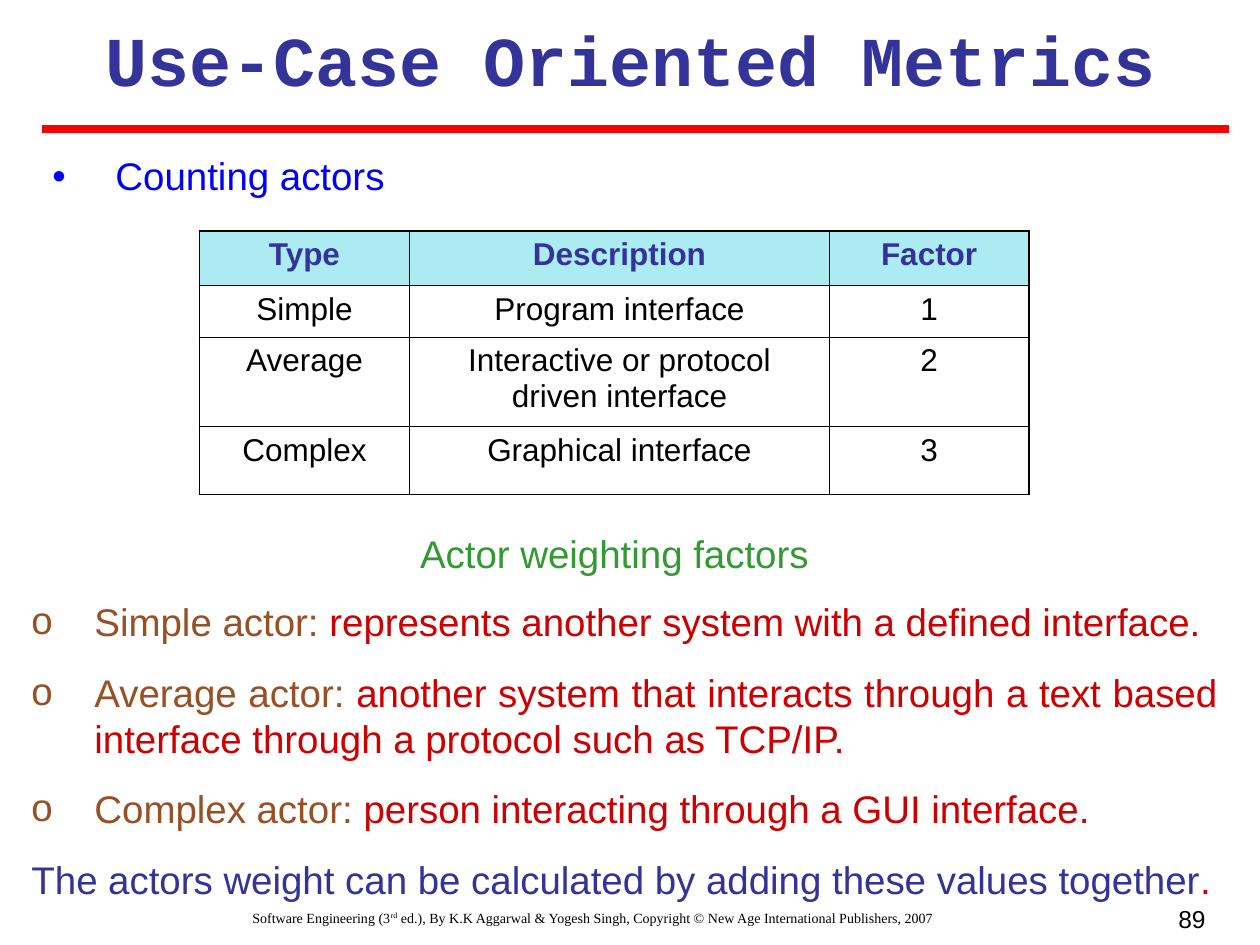
from dataclasses import dataclass

from lxml.etree import SubElement
from pptx import Presentation
from pptx.dml.color import RGBColor
from pptx.enum.shapes import MSO_CONNECTOR
from pptx.enum.text import PP_ALIGN as Align
from pptx.oxml.ns import qn
from pptx.util import Pt

EMU_PER_PX = 7620


@dataclass(frozen=True)
class Theme:
    """Colours, fonts and type sizes of the slide."""
    navy: str = "333399"
    blue: str = "0000FF"
    red: str = "FF0000"
    crimson: str = "CC0000"
    brown: str = "965126"
    green: str = "339933"
    aqua: str = "ACEBF2"
    black: str = "000000"
    sans: str = "Arial"
    mono: str = "Courier New"
    serif: str = "Times New Roman"
    title: int = 40
    body: int = 22
    cell: int = 18
    page: int = 14
    credit: int = 8
    outer_border: float = 1.08
    inner_border: float = 0.45


THEME = Theme()
ACTOR_TABLE = [
    ("Type", "Description", "Factor"),
    ("Simple", "Program interface", "1"),
    ("Average", "Interactive or protocol driven interface", "2"),
    ("Complex", "Graphical interface", "3"),
]
COLUMN_WIDTHS = (200, 400, 190)
ROW_HEIGHTS = (52, 49, 85, 65)
ACTORS = [
    ("Simple actor:", " represents another system with a defined interface."),
    ("Average actor:", " another system that interacts through a text based "
                       "interface through a protocol such as TCP/IP."),
    ("Complex actor:", " person interacting through a GUI interface."),
]
CONCLUSION = "The actors weight can be calculated by adding these values together"
CREDIT = ("Software Engineering (3", "rd",
          " ed.), By K.K Aggarwal & Yogesh Singh, Copyright © New Age International Publishers, 2007")


def px(length):
    """Turn whole px into EMU."""
    return length * EMU_PER_PX


def add_frame(slide, box, insets=(0, 0, 0, 0)):
    """Add a wrapping text box and return its text frame."""
    frame = slide.shapes.add_textbox(*map(px, box)).text_frame
    frame.word_wrap = True
    frame.margin_left, frame.margin_top, frame.margin_right, frame.margin_bottom = map(px, insets)
    return frame


def set_font(font, color, size=None, name=None, bold=None):
    """Set the given properties on a font."""
    font.color.rgb = RGBColor.from_string(color)
    if size:
        font.size = Pt(size)
    if name:
        font.name = name
    if bold is not None:
        font.bold = bold


def set_bullet(paragraph, mark, color):
    """Give a paragraph a coloured bullet with a hanging indent."""
    props = paragraph._p.get_or_add_pPr()
    props.set("marL", str(px(60)))
    props.set("indent", str(px(-60)))
    SubElement(SubElement(props, qn("a:buClr")), qn("a:srgbClr"), val=color)
    SubElement(props, qn("a:buFont"), typeface=THEME.sans)
    SubElement(props, qn("a:buChar"), char=mark)


def add_title(slide, box):
    """Place the slide title."""
    title = add_frame(slide, box, (12, 6, 12, 6)).paragraphs[0]
    title.text = "Use-Case Oriented Metrics"
    title.alignment = Align.CENTER
    set_font(title.font, THEME.navy, THEME.title, THEME.mono, True)


def add_rule(slide, left, top, width):
    """Draw the red rule below the title."""
    rule = slide.shapes.add_connector(
        MSO_CONNECTOR.STRAIGHT, px(left), px(top), px(left + width), px(top))
    rule.line.color.rgb = RGBColor.from_string(THEME.red)
    rule.line.width = Pt(4.5)
    SubElement(rule._element.spPr, qn("a:effectLst"))


def add_topic(slide, box):
    """Place the bulleted topic."""
    topic = add_frame(slide, box).paragraphs[0]
    topic.text = "Counting actors"
    topic.alignment = Align.JUSTIFY
    topic.line_spacing = 0.9
    set_bullet(topic, "•", THEME.blue)
    set_font(topic.font, THEME.blue, THEME.body, THEME.sans)


def set_borders(cell, outer_sides):
    """Draw cell borders, heavier on the sides at the table's edge."""
    props = cell._tc.get_or_add_tcPr()
    for position, (side, is_outer) in enumerate(outer_sides.items()):
        weight = THEME.outer_border if is_outer else THEME.inner_border
        border = props.makeelement(qn(f"a:{side}"), {"w": str(int(Pt(weight)))})
        SubElement(SubElement(border, qn("a:solidFill")), qn("a:srgbClr"), val=THEME.black)
        props.insert(position, border)


def add_actor_table(slide, left, top):
    """Place the table of actor types and factors."""
    last_row, last_column = len(ROW_HEIGHTS) - 1, len(COLUMN_WIDTHS) - 1
    table = slide.shapes.add_table(
        last_row + 1, last_column + 1, px(left), px(top),
        px(sum(COLUMN_WIDTHS)), px(sum(ROW_HEIGHTS))).table
    for column, width in zip(table.columns, COLUMN_WIDTHS):
        column.width = px(width)
    for r, (row, height) in enumerate(zip(table.rows, ROW_HEIGHTS)):
        row.height = px(height)
        for c, cell in enumerate(row.cells):
            is_header = r == 0
            entry = cell.text_frame.paragraphs[0]
            entry.text = ACTOR_TABLE[r][c]
            entry.alignment = Align.CENTER
            set_font(entry.font, THEME.navy if is_header else THEME.black,
                     THEME.cell, THEME.sans, is_header)
            if is_header:
                cell.fill.solid()
                cell.fill.fore_color.rgb = RGBColor.from_string(THEME.aqua)
            else:
                cell.fill.background()
            set_borders(cell, {"lnL": c == 0, "lnR": c == last_column,
                               "lnT": is_header, "lnB": r == last_row})


def add_caption(slide, box):
    """Place the table caption."""
    caption = add_frame(slide, box).paragraphs[0]
    caption.text = "Actor weighting factors"
    caption.line_spacing = 0.9
    set_font(caption.font, THEME.green, THEME.body, THEME.sans)


def add_actor_notes(slide, box):
    """Place the actor definitions and the conclusion."""
    frame = add_frame(slide, box)
    notes = [(*actor, THEME.brown) for actor in ACTORS] + [(CONCLUSION, ".", THEME.navy)]
    for index, (opening, rest, color) in enumerate(notes):
        note = frame.add_paragraph() if index else frame.paragraphs[0]
        note.alignment = Align.JUSTIFY
        if index:
            note.space_before = Pt(13.8)
        if index < len(ACTORS):
            set_bullet(note, "o", THEME.brown)
        note.font.size = Pt(THEME.body)
        note.font.name = THEME.sans
        for words, shade in ((opening, color), (rest, THEME.crimson)):
            run = note.add_run()
            run.text = words
            set_font(run.font, shade)


def add_footer(slide, credit_box, page_box):
    """Place the book credit and the page number."""
    credit = add_frame(slide, credit_box, (12, 6, 12, 6)).paragraphs[0]
    credit.alignment = Align.CENTER
    set_font(credit.font, THEME.black, THEME.credit, THEME.serif)
    for words in CREDIT:
        run = credit.add_run()
        run.text = words
        if words == "rd":
            run._r.get_or_add_rPr().set("baseline", "30000")
    page = add_frame(slide, page_box, (12, 6, 12, 6)).paragraphs[0]
    page.text = "89"
    page.alignment = Align.RIGHT
    set_font(page.font, THEME.black, THEME.page, THEME.sans)


def main():
    """Build and save the slide."""
    deck = Presentation()
    deck.slide_width, deck.slide_height = px(1200), px(900)
    slide = deck.slides.add_slide(deck.slide_layouts[6])
    add_title(slide, (40, 10, 1120, 92))
    add_rule(slide, 40, 123, 1130)
    add_topic(slide, (50, 150, 1110, 40))
    add_actor_table(slide, 190, 220)
    add_caption(slide, (400, 510, 380, 40))
    add_actor_notes(slide, (30, 570, 1130, 289))
    add_footer(slide, (30, 860, 1070, 40), (880, 855, 280, 40))
    deck.save("out.pptx")


if __name__ == "__main__":
    main()
